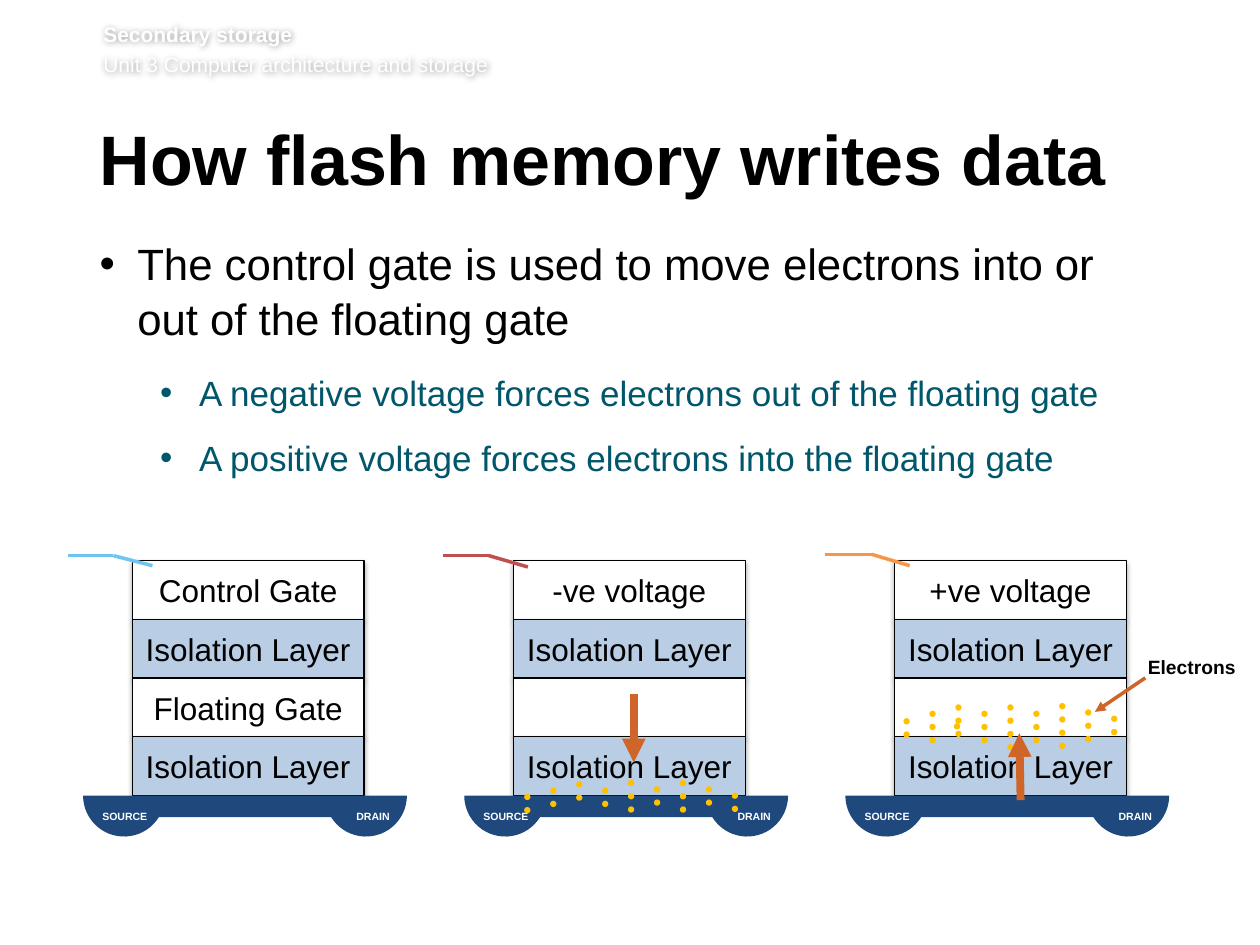
from math import asin, cos, pi, sin

from lxml.etree import SubElement
from pptx import Presentation
from pptx.dml.color import RGBColor
from pptx.enum.shapes import MSO_CONNECTOR, MSO_SHAPE
from pptx.enum.text import MSO_ANCHOR, PP_ALIGN
from pptx.oxml.ns import qn
from pptx.util import Inches, Pt

BLACK, WHITE, TEAL = "000000", "FFFFFF", "00566A"
PALE_BLUE, NAVY, GOLD, RUST = "B9CDE5", "1F497D", "FFC000", "CF6529"

HEADER = [("Secondary storage", True), ("Unit 3 Computer architecture and storage", False)]
TITLE = "How flash memory writes data"
# text, size, colour, left indent, hanging indent, space after
BULLETS = [
    ("The control gate is used to move electrons into or out of the floating gate", 25, BLACK, 0.3, 0.3, 14),
    ("A negative voltage forces electrons out of the floating gate", 20, TEAL, 0.79, 0.31, 12),
    ("A positive voltage forces electrons into the floating gate", 20, TEAL, 0.79, 0.31, 12),
]
# layer labels, wire colour, wire points
CELLS = [
    (["Control Gate", "Isolation Layer", "Floating Gate", "Isolation Layer"],
     "6EC6F0", [(0.54, 4.41), (0.9, 4.41), (1.21, 4.49)]),
    (["-ve voltage", "Isolation Layer", "", "Isolation Layer"],
     "C0504D", [(3.52, 4.41), (3.88, 4.41), (4.19, 4.5)]),
    (["+ve voltage", "Isolation Layer", "", "Isolation Layer"],
     "F79646", [(6.55, 4.4), (6.92, 4.4), (7.22, 4.49)]),
]
CELL_LEFT, CELL_TOP, CELL_STEP = 1.05, 4.45, 3.025
LAYER_WIDTH, LAYER_STEP = 1.84, 0.466
BASE_WIDTH, BASE_RADIUS, STRIP_DEPTH = 2.57, 0.325, 0.17

# first column left, (top, count) of each column
ELECTRONS = [
    (4.16, [(6.3, 2), (6.25, 2), (6.2, 2), (6.25, 2), (6.19, 3), (6.24, 2), (6.19, 3), (6.24, 2), (6.29, 2)]),
    (7.17, [(5.7, 2), (5.64, 3), (5.59, 3), (5.64, 3), (5.59, 4), (5.64, 3), (5.58, 4), (5.63, 3), (5.68, 2)]),
    (7.57, [(5.74, 1)]),
]
COLUMN_STEP, ROW_STEP, ELECTRON_SIZE = 0.206, 0.105, 0.05
# start, end, width
ARROWS = [((9.09, 5.38), (8.69, 5.65), 2), ((8.1, 6.35), (8.09, 5.82), 4.5), ((5.03, 5.51), (5.03, 6.05), 4.5)]

presentation = Presentation()
presentation.slide_width, presentation.slide_height = Inches(10), Inches(7.5)
slide = presentation.slides.add_slide(presentation.slide_layouts[6])


def rgb(value):
    return RGBColor.from_string(value)


def add_shadow(shape, alpha, blur, distance):
    """Put a black downward shadow on a shape; blur and distance in points."""
    shape.shadow.inherit = False
    effects = shape._element.spPr.find(qn("a:effectLst"))
    shadow = SubElement(effects, qn("a:outerShdw"), blurRad=str(Pt(blur)), dist=str(Pt(distance)),
                        dir="5400000", algn="ctr", rotWithShape="0")
    color = SubElement(shadow, qn("a:srgbClr"), val=BLACK)
    SubElement(color, qn("a:alpha"), val=str(alpha * 1000))


def write(paragraph, text, size=18, color=BLACK, bold=False, align=PP_ALIGN.LEFT,
          before=None, after=None, spacing=None, indent=None, hanging=0):
    if indent is not None:
        properties = paragraph._p.get_or_add_pPr()
        properties.set("marL", str(Inches(indent)))
        properties.set("indent", str(-Inches(hanging)))
        SubElement(properties, qn("a:buFont"), typeface="Arial")
        SubElement(properties, qn("a:buChar"), char="•")
    paragraph.alignment = align
    if before is not None:
        paragraph.space_before = Pt(before)
    if after is not None:
        paragraph.space_after = Pt(after)
    if spacing is not None:
        paragraph.line_spacing = spacing
    run = paragraph.add_run()
    run.text = text
    run.font.name, run.font.size, run.font.bold = "Arial", Pt(size), bold
    run.font.color.rgb = rgb(color)


def set_insets(frame, left, top, right, bottom):
    frame.margin_left, frame.margin_top = Inches(left), Inches(top)
    frame.margin_right, frame.margin_bottom = Inches(right), Inches(bottom)


def add_text_box(left, top, width, height, insets=(0, 0, 0, 0), wrap=True):
    box = slide.shapes.add_textbox(Inches(left), Inches(top), Inches(width), Inches(height))
    box.text_frame.word_wrap = wrap
    set_insets(box.text_frame, *insets)
    return box


def paint(shape, fill, line=None):
    shape.shadow.inherit = False
    shape.fill.solid()
    shape.fill.fore_color.rgb = rgb(fill)
    if line:
        shape.line.color.rgb = rgb(line)
        shape.line.width = Pt(0.75)
    else:
        shape.line.fill.background()


def add_preset(kind, left, top, width, height, fill, line=None):
    shape = slide.shapes.add_shape(kind, Inches(left), Inches(top), Inches(width), Inches(height))
    paint(shape, fill, line)
    return shape


def add_line(start, end, color, width, arrow=False):
    connector = slide.shapes.add_connector(
        MSO_CONNECTOR.STRAIGHT, *(Inches(value) for value in (*start, *end)))
    connector.line.color.rgb = rgb(color)
    connector.line.width = Pt(width)
    if arrow:
        SubElement(connector.line._get_or_add_ln(), qn("a:tailEnd"), type="triangle")
    SubElement(connector._element.spPr, qn("a:effectLst"))


def add_base(left, top):
    """Draw the strip with a half disc hanging at each end."""
    cut = asin(STRIP_DEPTH / BASE_RADIUS)
    steps = 24

    def arc(center, first, last):
        angles = [first + (last - first) * i / steps for i in range(steps + 1)]
        return [(center + BASE_RADIUS * cos(a), top + BASE_RADIUS * sin(a)) for a in angles]

    points = (arc(left + BASE_WIDTH - BASE_RADIUS, 0, pi - cut)
              + arc(left + BASE_RADIUS, cut, pi))
    builder = slide.shapes.build_freeform(Inches(left), Inches(top))
    builder.add_line_segments([(Inches(x), Inches(y)) for x, y in points], close=True)
    paint(builder.convert_to_shape(), NAVY)


def add_cell(left, labels):
    for row, label in enumerate(labels):
        layer = add_preset(MSO_SHAPE.RECTANGLE, left, CELL_TOP + row * LAYER_STEP, LAYER_WIDTH,
                           LAYER_STEP, PALE_BLUE if row % 2 else WHITE, BLACK)
        add_shadow(layer, 35, 3.1, 1.8)
        if label:
            frame = layer.text_frame
            frame.vertical_anchor = MSO_ANCHOR.MIDDLE
            set_insets(frame, 0.05, 0.05, 0.05, 0.05)
            write(frame.paragraphs[0], label, align=PP_ALIGN.CENTER)
    add_base(left - 0.39, CELL_TOP + len(labels) * LAYER_STEP)
    for offset, label in ((-0.32, "SOURCE"), (1.65, "DRAIN")):
        box = add_text_box(left + offset, 6.43, 0.52, 0.1)
        write(box.text_frame.paragraphs[0], label, size=6, color=WHITE, bold=True, align=PP_ALIGN.CENTER)


header = add_text_box(0.82, 0.17, 8.82, 0.49, (0, 0, 0, 0.05))
add_shadow(header, 40, 4, 0)
for index, (text, bold) in enumerate(HEADER):
    frame = header.text_frame
    write(frame.add_paragraph() if index else frame.paragraphs[0], text, size=12, color=WHITE,
          bold=bold, before=2.9 if index else 0)

title = add_text_box(0.79, 0.99, 8.55, 0.73, (0, 0.05, 0.1, 0.05))
write(title.text_frame.paragraphs[0], TITLE, size=40, bold=True, spacing=Pt(39))

body = add_text_box(0.79, 1.86, 8.53, 3.78, (0, 0, 0.1, 0.05)).text_frame
for index, (text, size, color, indent, hanging, after) in enumerate(BULLETS):
    write(body.add_paragraph() if index else body.paragraphs[0], text, size=size, color=color,
          indent=indent, hanging=hanging, after=after, spacing=1.05)

for index, (labels, _, _) in enumerate(CELLS):
    add_cell(CELL_LEFT + index * CELL_STEP, labels)

for first_left, columns in ELECTRONS:
    for column, (top, count) in enumerate(columns):
        for row in range(count):
            add_preset(MSO_SHAPE.OVAL, first_left + column * COLUMN_STEP, top + row * ROW_STEP,
                       ELECTRON_SIZE, ELECTRON_SIZE, GOLD)

electrons_label = add_text_box(9.11, 5.2, 0.7, 0.19, wrap=False)
write(electrons_label.text_frame.paragraphs[0], "Electrons", size=11, bold=True)

for start, end, width in ARROWS:
    add_line(start, end, RUST, width, arrow=True)
for _, color, points in CELLS:
    for start, end in zip(points, points[1:]):
        add_line(start, end, color, 2)

presentation.save("out.pptx")
